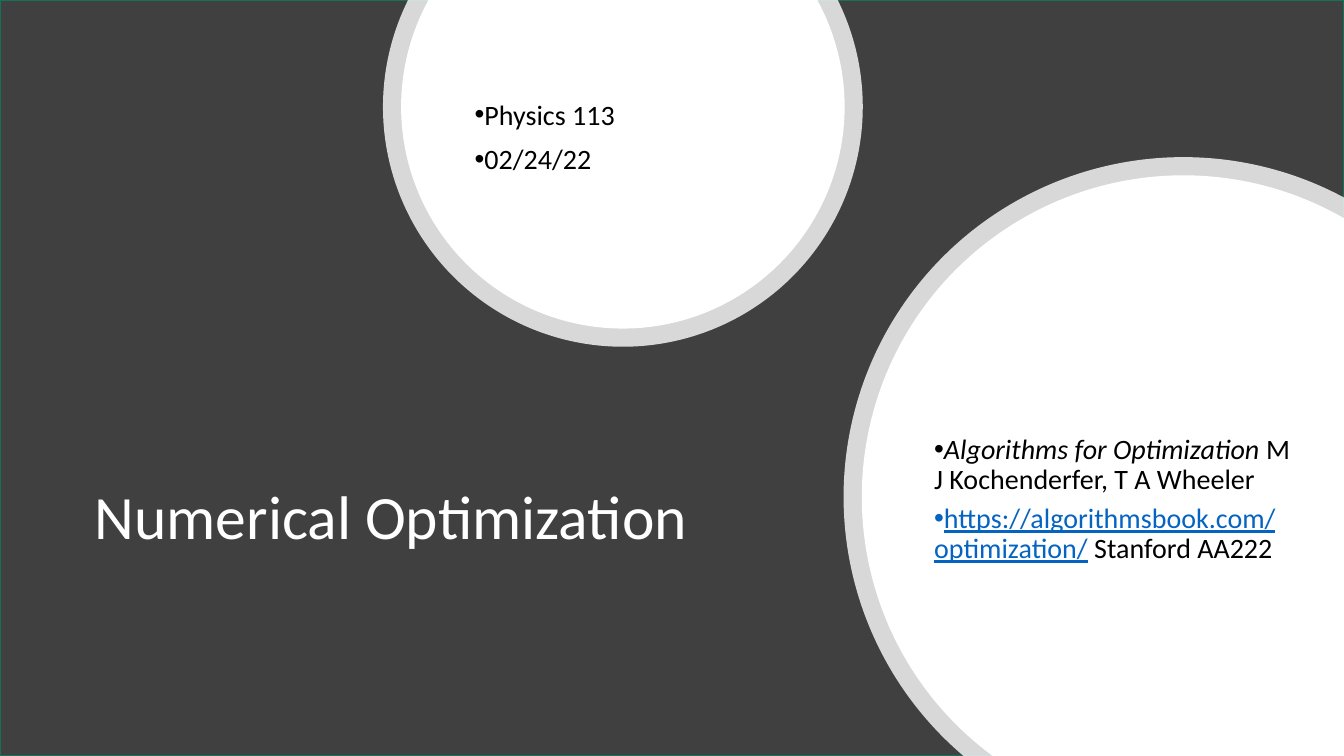
from dataclasses import dataclass
from math import acos, asin, cos, degrees, radians, sin

from lxml.etree import SubElement
from pptx import Presentation
from pptx.dml.color import RGBColor
from pptx.enum.shapes import MSO_SHAPE as Shape
from pptx.enum.text import MSO_ANCHOR as Anchor, MSO_AUTO_SIZE as AutoSize, PP_ALIGN as Align
from pptx.oxml.ns import qn
from pptx.util import Inches, Pt

W, H = Inches(13.333), Inches(7.5)


@dataclass(frozen=True)
class Theme:
    font: str = "Calibri"
    title_size: int = 44
    body_size: int = 20
    backdrop: str = "404040"
    edge: str = "157259"
    paper: str = "FFFFFF"
    ink: str = "000000"
    link: str = "0563C1"
    ring_alpha: int = 80


@dataclass(frozen=True)
class Box:
    """Position and size as percentages of the slide's width and height."""
    x: float
    y: float
    w: float
    h: float


@dataclass(frozen=True)
class Disc:
    """Centre in percent of width and height, radius in percent of width."""
    x: float
    y: float
    radius: float
    in_corner: bool = False  # cut by the right and bottom edges, else by the top


@dataclass(frozen=True)
class Span:
    text: str
    color: str
    italic: bool = False
    underline: bool = False


THEME = Theme()
RING = 1.35  # ring thickness, percent of width
DISCS = [Disc(46.35, 14.13, 16.5), Disc(88.05, 65.73, 23.93, in_corner=True)]

TITLE_BOX = Box(6.3, 51.07, 49.65, 35.33)
COURSE_BOX = Box(34.57, 5.2, 23.62, 26.13)
SOURCES_BOX = Box(68.77, 45.87, 28.5, 40.53)

COURSE = [[Span("Physics 113", THEME.ink)], [Span("02/24/22", THEME.ink)]]
SOURCES = [
    [Span("Algorithms for Optimization ", THEME.ink, italic=True),
     Span("M J Kochenderfer, T A Wheeler", THEME.ink)],
    [Span("https://algorithmsbook.com/optimization/", THEME.link, underline=True),
     Span(" Stanford AA222", THEME.ink)],
]


def px(share: float) -> int:
    return round(W * share / 100)


def py(share: float) -> int:
    return round(H * share / 100)


def place(sp, box: Box) -> None:
    sp.left, sp.top, sp.width, sp.height = px(box.x), py(box.y), px(box.w), py(box.h)


def paint(sp, color: str, alpha: int = 100) -> None:
    sp.shadow.inherit = False
    sp.fill.solid()
    sp.fill.fore_color.rgb = RGBColor.from_string(color)
    if alpha < 100:
        clr = sp.element.spPr.find(qn("a:solidFill"))[0]
        SubElement(clr, qn("a:alpha"), val=str(alpha * 1000))


def add_disc(s, disc: Disc, extra: float = 0, alpha: int = 100) -> None:
    """Draw a circle cut off at the slide's edges, as one clockwise arc."""
    cx, cy, radius = px(disc.x), py(disc.y), px(disc.radius + extra)
    if disc.in_corner:
        start = 180 - degrees(asin((H - cy) / radius))
        end = 360 - degrees(acos((W - cx) / radius))
    else:
        start = -degrees(asin(cy / radius))
        end = 180 - start

    # The quarter points give the outline its full extent
    quarters = [a for a in (0, 90, 180, 270) if start < a < end]
    points = [(round(cx + radius * cos(radians(a))), round(cy + radius * sin(radians(a))))
              for a in (start, *quarters, end)]
    corner = [(W, H)] if disc.in_corner else []
    builder = s.shapes.build_freeform(*points[0], scale=1.0)
    builder.add_line_segments(points[1:] + corner, close=True)
    sp = builder.convert_to_shape()

    # One arc takes the place of the segments between its ends
    outline = next(sp.element.iter(qn("a:path")))
    for segment in outline.findall(qn("a:lnTo"))[:len(points) - 1]:
        outline.remove(segment)
    arc = SubElement(outline, qn("a:arcTo"), wR=str(radius), hR=str(radius),
                     stAng=str(round(start % 360 * 60000)),
                     swAng=str(round((end - start) * 60000)))
    outline.insert(1, arc)

    paint(sp, THEME.paper, alpha)
    sp.line.fill.background()


def write(sp, paragraphs: list[list[Span]], *, size: int, gap: float = 0,
          bullet: bool = False) -> None:
    tf = sp.text_frame
    tf.word_wrap = True
    tf.auto_size = AutoSize.NONE
    tf.vertical_anchor = Anchor.MIDDLE
    for i, spans in enumerate(paragraphs):
        p = tf.paragraphs[0] if i == 0 else tf.add_paragraph()
        if bullet:
            pPr = p._p.get_or_add_pPr()
            pPr.set("marL", "0")
            pPr.set("indent", str(-Inches(0.25)))
            SubElement(pPr, qn("a:buFont"), typeface="Arial")
            SubElement(pPr, qn("a:buChar"), char="•")
        p.alignment = Align.LEFT
        p.line_spacing = 0.9
        p.space_before = Pt(gap if i else 0)
        for span in spans:
            r = p.add_run()
            r.text = span.text
            r.font.name = THEME.font
            r.font.size = Pt(size)
            r.font.italic = span.italic
            r.font.underline = span.underline
            r.font.color.rgb = RGBColor.from_string(span.color)


def main() -> None:
    prs = Presentation()
    prs.slide_width, prs.slide_height = W, H
    s = prs.slides.add_slide(prs.slide_layouts[0])
    title, course = s.shapes.title, s.placeholders[1]

    # Dark backdrop
    backdrop = s.shapes.add_shape(Shape.RECTANGLE, 0, 0, W, H)
    paint(backdrop, THEME.backdrop)
    backdrop.line.color.rgb = RGBColor.from_string(THEME.edge)
    backdrop.line.width = Pt(1)

    # Ringed discs
    for disc in DISCS:
        add_disc(s, disc, RING, THEME.ring_alpha)
        add_disc(s, disc)

    # Title and course details, brought in front of the discs
    for sp, box in ((title, TITLE_BOX), (course, COURSE_BOX)):
        s.shapes.element.append(sp.element)
        place(sp, box)
    write(title, [[Span("Numerical Optimization", THEME.paper)]], size=THEME.title_size)
    write(course, COURSE, size=THEME.body_size, gap=10, bullet=True)

    # Sources
    sources = s.shapes.add_textbox(0, 0, 0, 0)
    place(sources, SOURCES_BOX)
    write(sources, SOURCES, size=THEME.body_size, gap=6, bullet=True)

    prs.save("out.pptx")


if __name__ == "__main__":
    main()
